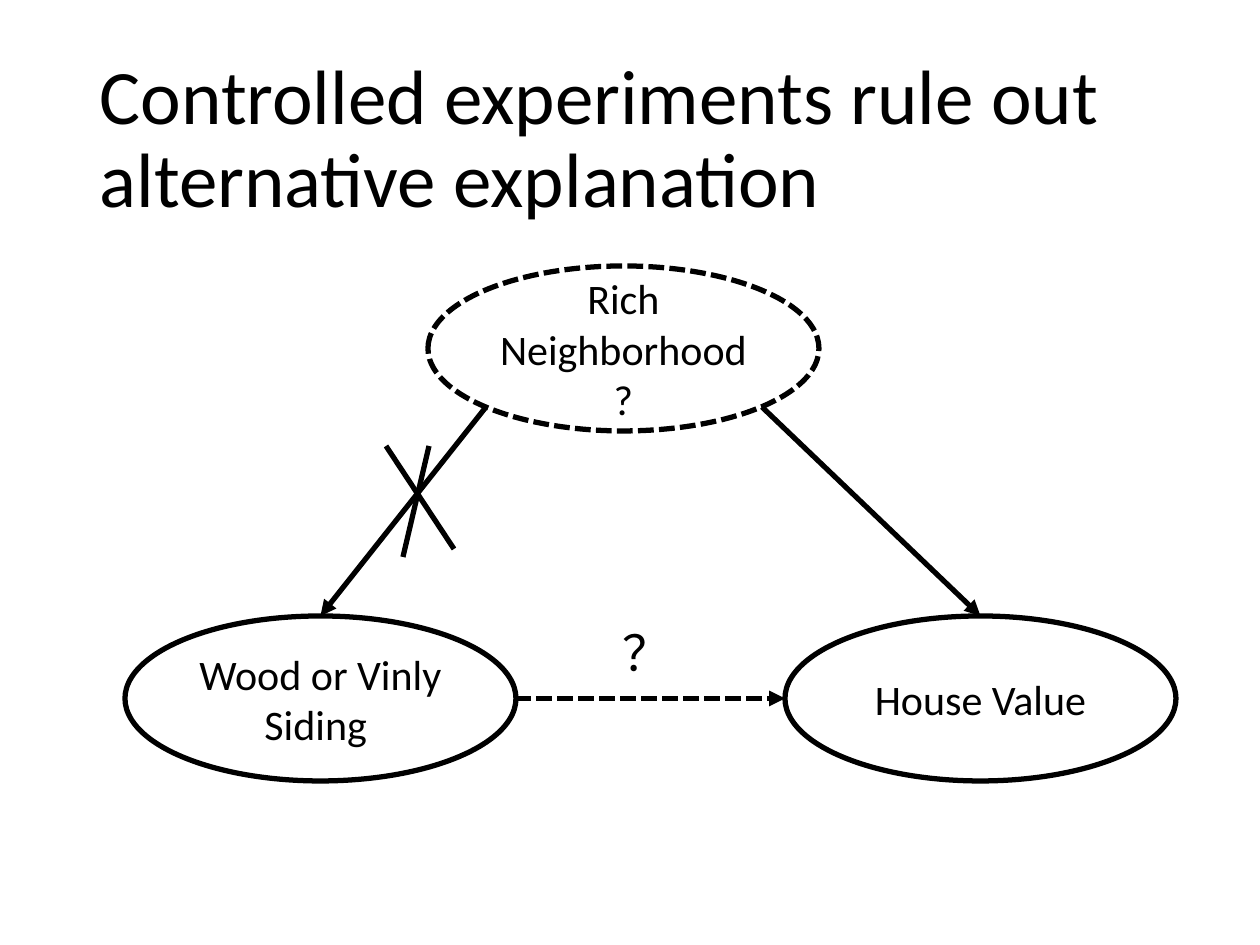
"""Build a slide on how controlled experiments rule out a confounding cause."""
from lxml import etree
from pptx import Presentation, util as u
from pptx.dml.color import RGBColor
from pptx.enum import dml, shapes, text
from pptx.oxml.ns import qn

SCALE = u.Inches(1) / 126
FONT = "Calibri"
BLACK = "000000"
WHITE = "FFFFFF"
OVAL_WIDTH, OVAL_HEIGHT = 391, 165
LOWER_TOP = 616


def px(length):
    """Turn a length in px into EMU."""
    return u.Emu(round(length * SCALE))


def color(value):
    """Turn a hex string into a colour."""
    return RGBColor.from_string(value)


def add_run(paragraph, words, size):
    """Add one black run of text to a paragraph."""
    run = paragraph.add_run()
    run.text = words
    run.font.name = FONT
    run.font.size = u.Pt(size)
    run.font.color.rgb = color(BLACK)


def style_line(line, dashed):
    """Give an outline or connector its black stroke."""
    line.color.rgb = color(BLACK)
    line.width = u.Pt(3)
    if dashed:
        line.dash_style = dml.MSO_LINE.SQUARE_DOT


def set_title(slide, words):
    """Place and format the title placeholder."""
    title = slide.shapes.title
    title.left, title.top, title.width, title.height = map(px, (87, 50, 1086, 183))
    frame = title.text_frame
    frame.auto_size = text.MSO_AUTO_SIZE.NONE
    frame.vertical_anchor = text.MSO_ANCHOR.MIDDLE
    paragraph = frame.paragraphs[0]
    paragraph.alignment = text.PP_ALIGN.LEFT
    paragraph.line_spacing = 0.9
    add_run(paragraph, words, 44)


def add_oval(slide, left, top, words, dashed=False):
    """Add a labelled oval for one variable."""
    oval = slide.shapes.add_shape(
        shapes.MSO_SHAPE.OVAL, px(left), px(top), px(OVAL_WIDTH), px(OVAL_HEIGHT))
    oval.shadow.inherit = False
    oval.fill.solid()
    oval.fill.fore_color.rgb = color(WHITE)
    style_line(oval.line, dashed)
    frame = oval.text_frame
    frame.word_wrap = True
    frame.vertical_anchor = text.MSO_ANCHOR.MIDDLE
    paragraph = frame.paragraphs[0]
    paragraph.alignment = text.PP_ALIGN.CENTER
    add_run(paragraph, words, 24)
    return oval


def add_line(slide, start, end, arrow=False, dashed=False):
    """Add a straight line, with an arrowhead at its end if asked."""
    line = slide.shapes.add_connector(
        shapes.MSO_CONNECTOR.STRAIGHT, *map(px, start + end))
    style_line(line.line, dashed)
    if arrow:
        etree.SubElement(line.line._get_or_add_ln(), qn("a:tailEnd"), type="triangle")
    etree.SubElement(line._element.spPr, qn("a:effectLst"))
    return line


def add_label(slide, left, top, width, height, words):
    """Add a free text label."""
    frame = slide.shapes.add_textbox(*map(px, (left, top, width, height))).text_frame
    frame.word_wrap = True
    add_run(frame.paragraphs[0], words, 28)


def main():
    """Build and save the slide."""
    presentation = Presentation()
    presentation.slide_width, presentation.slide_height = px(1260), px(945)
    slide = presentation.slides.add_slide(presentation.slide_layouts[5])
    set_title(slide, "Controlled experiments rule out alternative explanation")

    add_oval(slide, 428, 266, "Rich Neighborhood?", dashed=True)
    siding = add_oval(slide, 125, LOWER_TOP, "Wood or Vinly Siding ")
    value = add_oval(slide, 785, LOWER_TOP, "House Value")

    for start, end, target in (((486, 407), (320, LOWER_TOP), siding),
                               ((762, 407), (980, LOWER_TOP), value)):
        add_line(slide, start, end, arrow=True).end_connect(target, 0)
    middle = LOWER_TOP + OVAL_HEIGHT / 2
    add_line(slide, (515, middle), (785, middle), arrow=True, dashed=True)
    add_label(slide, 610, LOWER_TOP, 126, 72, "？")

    for start, end in (((386, 446), (454, 549)), ((429, 446), (403, 557))):
        add_line(slide, start, end)
    presentation.save("out.pptx")


if __name__ == "__main__":
    main()
